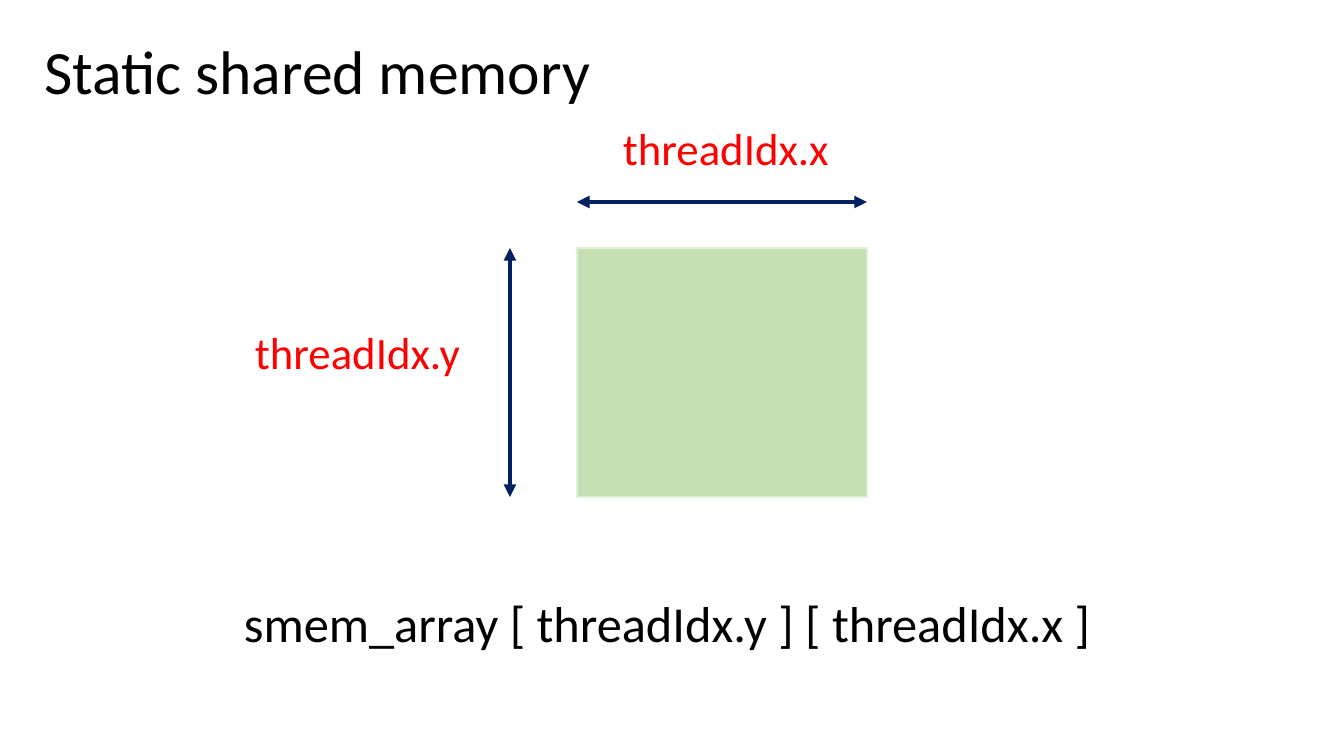
import dataclasses

import lxml.etree
import pptx
import pptx.dml.color
import pptx.enum.shapes
import pptx.enum.text
import pptx.oxml.ns
import pptx.util

EMU_PER_PIXEL = 914400 / 100.8
FONT = "Calibri"
BLACK, RED, NAVY = "000000", "FF0000", "002060"
TILE_FILL, TILE_EDGE = "C5E0B4", "E2F0D9"


@dataclasses.dataclass(frozen=True)
class Box:
    """A rectangle in pixels."""
    left: int
    top: int
    width: int
    height: int

    @property
    def right(self) -> int:
        """Right edge."""
        return self.left + self.width

    @property
    def bottom(self) -> int:
        """Bottom edge."""
        return self.top + self.height

    def emu(self) -> tuple:
        """Left, top, width and height in EMU."""
        return tuple(px(v) for v in dataclasses.astuple(self))


@dataclasses.dataclass(frozen=True)
class Label:
    """A line of text with its box, size and colour."""
    text: str
    box: Box
    size: int
    color: str


@dataclasses.dataclass(frozen=True)
class Dimension:
    """A double-headed arrow measuring one side of the tile."""
    start: tuple
    end: tuple


def px(pixels: int) -> pptx.util.Emu:
    """Turn pixels into EMU."""
    return pptx.util.Emu(round(pixels * EMU_PER_PIXEL))


def rgb(color: str) -> pptx.dml.color.RGBColor:
    """Turn a hex string into a colour."""
    return pptx.dml.color.RGBColor.from_string(color)


def write(frame, text: str, *, size: int, color: str = BLACK, spacing: float = 1.0,
          anchor=pptx.enum.text.MSO_ANCHOR.TOP) -> None:
    """Put formatted text in a text frame."""
    frame.word_wrap = True
    frame.auto_size = pptx.enum.text.MSO_AUTO_SIZE.NONE
    frame.vertical_anchor = anchor
    paragraph = frame.paragraphs[0]
    paragraph.alignment = pptx.enum.text.PP_ALIGN.LEFT
    paragraph.line_spacing = spacing
    run = paragraph.add_run()
    run.text = text
    run.font.name = FONT
    run.font.size = pptx.util.Pt(size)
    run.font.color.rgb = rgb(color)


def draw_title(slide, text: str, box: Box) -> None:
    """Fill and move the title placeholder."""
    title = slide.shapes.title
    title.left, title.top, title.width, title.height = box.emu()
    write(title.text_frame, text, size=44, spacing=0.9,
          anchor=pptx.enum.text.MSO_ANCHOR.MIDDLE)


def draw_tile(slide, box: Box) -> None:
    """Draw the shared memory tile."""
    tile = slide.shapes.add_shape(pptx.enum.shapes.MSO_SHAPE.RECTANGLE, *box.emu())
    tile.shadow.inherit = False
    tile.fill.solid()
    tile.fill.fore_color.rgb = rgb(TILE_FILL)
    tile.line.color.rgb = rgb(TILE_EDGE)
    tile.line.width = pptx.util.Pt(1)


def draw_dimension(slide, dimension: Dimension) -> None:
    """Draw an arrow with a head at both ends."""
    arrow = slide.shapes.add_connector(
        pptx.enum.shapes.MSO_CONNECTOR.STRAIGHT,
        *(px(v) for v in dimension.start + dimension.end))
    arrow.line.color.rgb = rgb(NAVY)
    arrow.line.width = pptx.util.Pt(3)
    qn = pptx.oxml.ns.qn
    outline = arrow.line._get_or_add_ln()
    for end in ("a:headEnd", "a:tailEnd"):
        lxml.etree.SubElement(outline, qn(end), type="triangle")
    lxml.etree.SubElement(arrow._element.spPr, qn("a:effectLst"))


def draw_label(slide, label: Label) -> None:
    """Draw a text box."""
    frame = slide.shapes.add_textbox(*label.box.emu()).text_frame
    write(frame, label.text, size=label.size, color=label.color)


TILE = Box(577, 248, 290, 249)
X_ARROW_TOP = 202
Y_ARROW_LEFT = 510
DIMENSIONS = (
    Dimension((TILE.left, X_ARROW_TOP), (TILE.right, X_ARROW_TOP)),
    Dimension((Y_ARROW_LEFT, TILE.top), (Y_ARROW_LEFT, TILE.bottom)),
)
LABELS = (
    Label("threadIdx.x", Box(613, 116, 430, 65), 32, RED),
    Label("threadIdx.y", Box(245, 320, 430, 65), 32, RED),
    Label("smem_array [ threadIdx.y ] [ threadIdx.x ]", Box(234, 587, 915, 72), 36, BLACK),
)

presentation = pptx.Presentation()
presentation.slide_width, presentation.slide_height = px(1344), px(756)
memory_slide = presentation.slides.add_slide(
    presentation.slide_layouts.get_by_name("Title Only"))
draw_title(memory_slide, "Static shared memory", Box(34, 2, 1159, 146))
draw_tile(memory_slide, TILE)
for side in DIMENSIONS:
    draw_dimension(memory_slide, side)
for caption in LABELS:
    draw_label(memory_slide, caption)
presentation.save("out.pptx")
